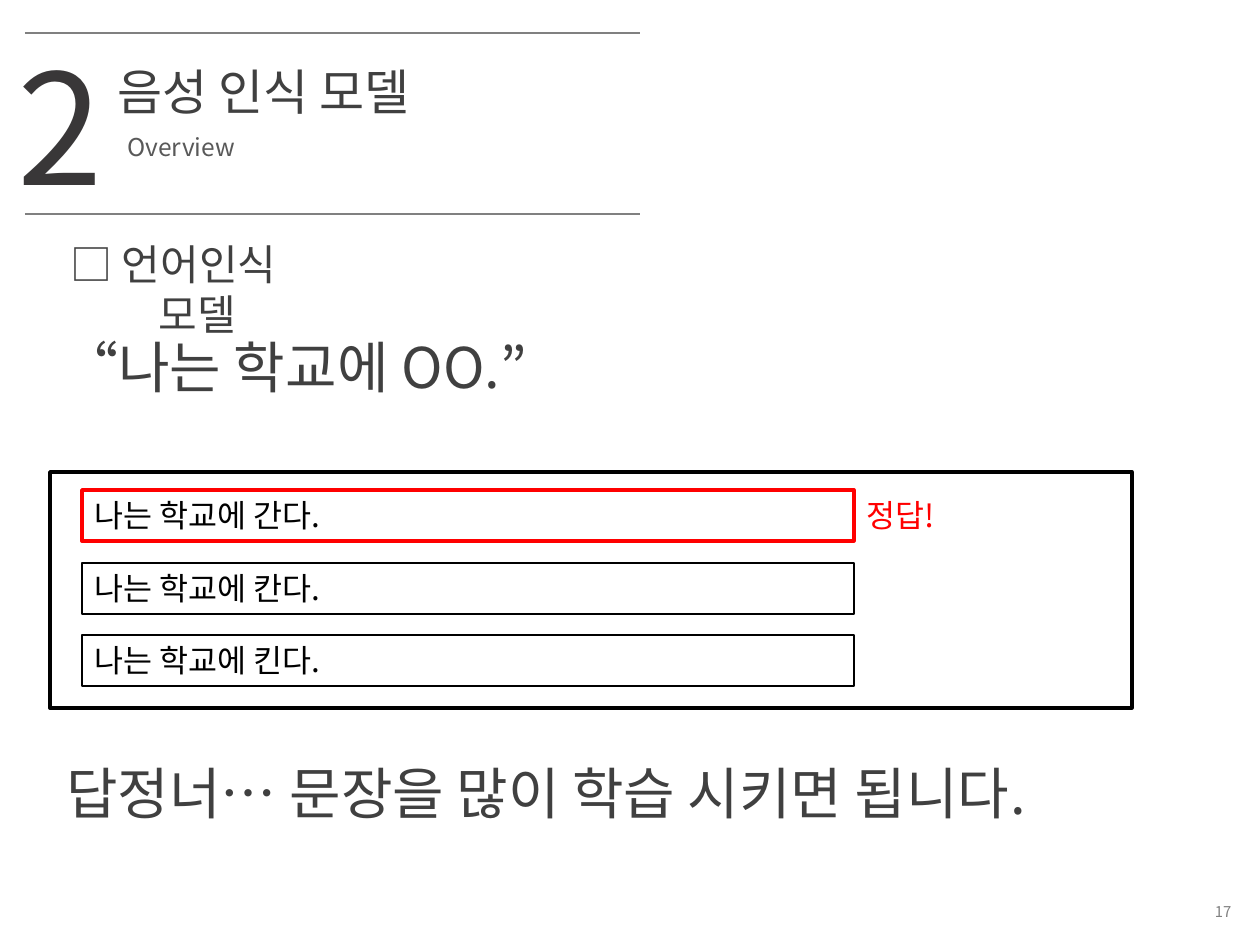
from pptx import Presentation
from pptx.dml.color import RGBColor
from pptx.enum.shapes import MSO_CONNECTOR as Connector, MSO_SHAPE as Shape
from pptx.enum.text import MSO_ANCHOR as Anchor, MSO_AUTO_SIZE as AutoSize, PP_ALIGN as Align
from pptx.oxml.ns import qn
from pptx.util import Pt
from lxml.etree import SubElement

SCALE = 914400 // 126
BLACK = RGBColor(0x00, 0x00, 0x00)
RED = RGBColor(0xFF, 0x00, 0x00)
INK = RGBColor(0x40, 0x40, 0x40)
DARK = RGBColor(0x39, 0x37, 0x38)
MUTED = RGBColor(0x59, 0x59, 0x59)
GRAY = RGBColor(0x80, 0x80, 0x80)


class SlideBuilder:
    """Draws styled elements on the current slide, with lengths in px."""

    font_name = "Noto Sans CJK KR"
    hanging = 48

    def __init__(self, page):
        self.page = page

    def emu(self, *lengths):
        return [length * SCALE for length in lengths]

    def fill_text(self, box, text, size, color, align=Align.LEFT, hang=False,
                  leading=None, anchor=Anchor.TOP, wrap=True):
        frame = box.text_frame
        frame.text = text
        frame.word_wrap = wrap
        frame.auto_size = AutoSize.NONE
        frame.vertical_anchor = anchor
        para = frame.paragraphs[0]
        para.alignment = align
        if leading:
            para.line_spacing = Pt(leading)
        font = para.font
        font.name, font.size, font.color.rgb = self.font_name, Pt(size), color
        props = para._p.get_or_add_pPr()
        SubElement(props.find(qn("a:defRPr")), qn("a:ea"), typeface=self.font_name)
        if hang:
            margin = self.hanging * SCALE
            props.set("marL", str(margin))
            props.set("indent", str(-margin))

    def title(self, place, text, size, color):
        box = self.page.shapes.title
        box.left, box.top, box.width, box.height = self.emu(*place)
        self.fill_text(box, text, size, color, hang=True)

    def text(self, place, text, size, color, **style):
        box = self.page.shapes.add_textbox(*self.emu(*place))
        self.fill_text(box, text, size, color, **style)

    def frame(self, place, color, weight, text=None):
        box = self.page.shapes.add_shape(Shape.RECTANGLE, *self.emu(*place))
        box.shadow.inherit = False
        box.fill.background()
        box.line.color.rgb = color
        box.line.width = Pt(weight)
        if text:
            self.fill_text(box, text, 18, color)

    def rule(self, left, right, top):
        line = self.page.shapes.add_connector(
            Connector.STRAIGHT, *self.emu(left, top, right, top))
        line.line.color.rgb = GRAY
        line.line.width = Pt(0.75)
        SubElement(line._element.spPr, qn("a:effectLst"))


def main():
    deck = Presentation()
    deck.slide_width, deck.slide_height = 1260 * SCALE, 945 * SCALE
    slide = SlideBuilder(deck.slides.add_slide(deck.slide_layouts[5]))

    for top in (33, 214):
        slide.rule(25, 640, top)
    slide.text((5, 25, 377, 199), "2", 88, DARK, hang=True)
    slide.title((105, 55, 436, 72), "음성 인식 모델", 28, INK)
    slide.text((115, 125, 576, 43), "Overview", 14, MUTED, hang=True, leading=17)
    slide.text((25, 232, 297, 63), "□ 언어인식 모델", 24, INK,
               align=Align.CENTER, hang=True)
    slide.text((50, 326, 1085, 81), "“나는 학교에 OO.”", 32, INK)

    slide.frame((50, 472, 1082, 236), BLACK, 2)
    for top, verb in zip((490, 563, 635), ("간다", "칸다", "킨다")):
        slide.frame((82, top, 772, 51), BLACK, 0.75, f"나는 학교에 {verb}.")
    slide.frame((82, 490, 772, 51), RED, 2)
    slide.text((854, 490, 98, 51), "정답!", 18, RED, wrap=False)

    slide.text((54, 752, 1085, 81), "답정너… 문장을 많이 학습 시키면 됩니다.", 32, INK)
    slide.text((978, 895, 266, 34), "17", 8.5, GRAY,
               align=Align.RIGHT, anchor=Anchor.MIDDLE)
    deck.save("out.pptx")


if __name__ == "__main__":
    main()
